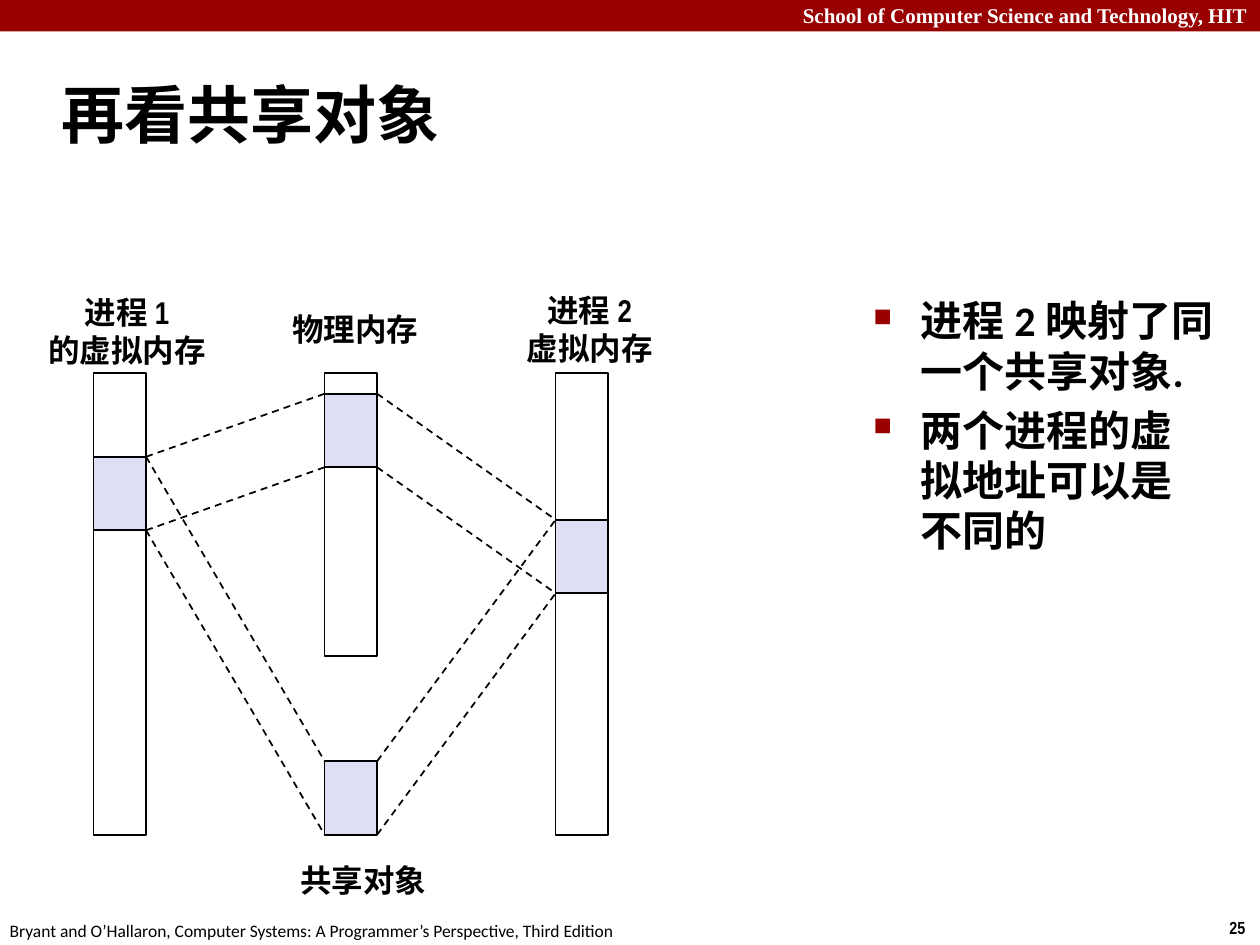
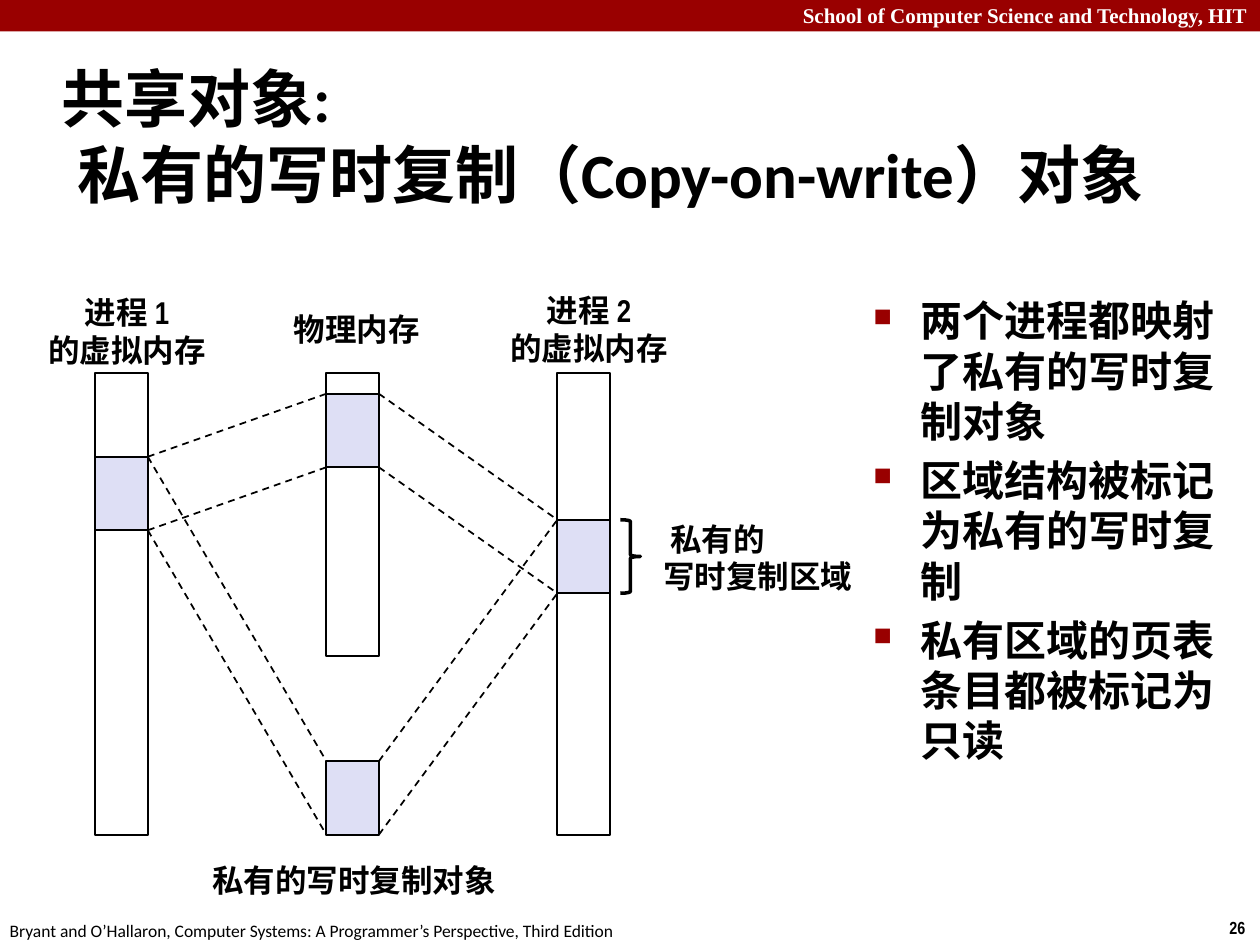
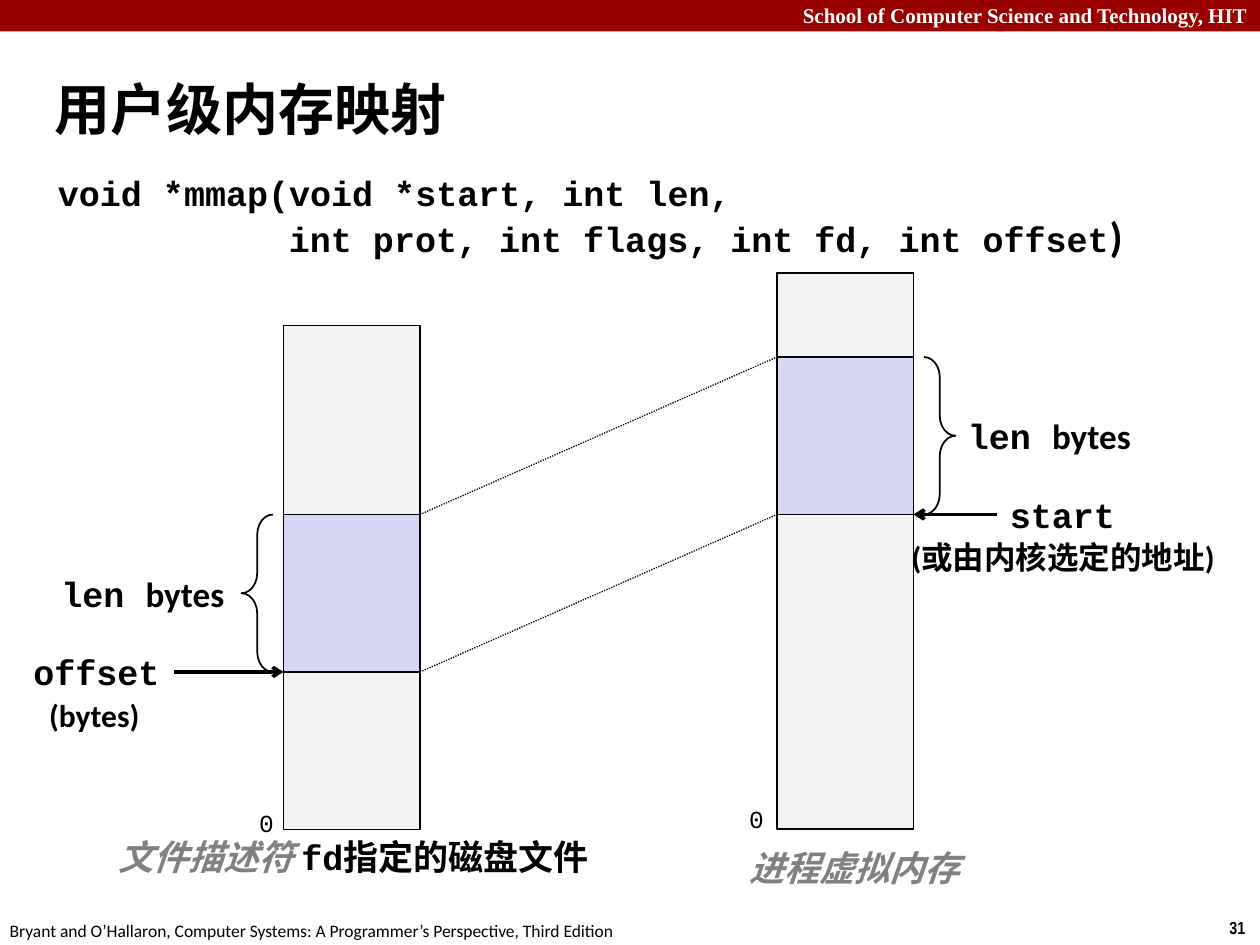
from dataclasses import dataclass, replace

import pptx
import pptx.dml.color
import pptx.enum.dml
import pptx.enum.shapes
import pptx.enum.text
import pptx.oxml
import pptx.oxml.ns
import pptx.util

Pt = pptx.util.Pt
Align = pptx.enum.text.PP_ALIGN
Anchor = pptx.enum.text.MSO_ANCHOR
Preset = pptx.enum.shapes.MSO_SHAPE
Dash = pptx.enum.dml.MSO_LINE


@dataclass(frozen=True)
class Style:
    font: str
    size: float
    color: str = "000000"
    bold: bool = True
    italic: bool = False


class Theme:
    band = "990000"
    ink = "000000"
    region = "DEDFF5"
    mapped = "D6D6F5"
    memory = "F2F2F2"
    title = Style("Calibri", 36)
    small_title = Style("Calibri", 32)
    body = Style("Calibri", 24)
    label = Style("Arial Narrow", 18)
    note = Style("Calibri", 18)
    unit = Style("Calibri", 20)
    code = Style("Courier New", 20)
    zero = Style("Courier New", 14, bold=False)
    caption = Style("Calibri", 20, "808080", italic=True)
    school = Style("Times New Roman", 12, "FFFFFF")
    number = Style("Arial Narrow", 10)
    source = Style("Calibri", 10, bold=False)


def rgb(color):
    return pptx.dml.color.RGBColor.from_string(color)


def add_element(parent, tag, **attributes):
    child = pptx.oxml.ns.qn(tag)
    element = parent.makeelement(child, attributes)
    parent.append(element)
    return element


def add_span(para, text, style):
    span = para.add_run()
    span.text = text
    span.font.name = style.font
    span.font.size = Pt(style.size)
    span.font.bold = style.bold
    span.font.italic = style.italic
    span.font.color.rgb = rgb(style.color)


def set_indent(para, left, first):
    properties = para._p.get_or_add_pPr()
    properties.set("marL", str(Pt(left)))
    properties.set("indent", str(Pt(first)))
    return properties


def add_box(page, area, paragraphs, align=Align.LEFT, anchor=Anchor.TOP, wrap=False):
    box = page.shapes.add_textbox(*map(Pt, area))
    frame = box.text_frame
    frame.word_wrap = wrap
    frame.vertical_anchor = anchor
    if not wrap:
        frame.auto_size = pptx.enum.text.MSO_AUTO_SIZE.SHAPE_TO_FIT_TEXT
    for index, spans in enumerate(paragraphs):
        para = frame.add_paragraph() if index else frame.paragraphs[0]
        para.alignment = align
        for text, style in spans:
            add_span(para, text, style)
    return frame


def add_label(page, area, *lines):
    add_box(page, area, [[(line, Theme.label)] for line in lines],
            Align.CENTER, Anchor.MIDDLE)


def add_title(page, area, lines, style=Theme.title):
    frame = add_box(page, area, [[(lines[0], style)]], anchor=Anchor.MIDDLE, wrap=True)
    para = frame.paragraphs[0]
    set_indent(para, 9, -9)
    for line in lines[1:]:
        para.add_line_break()
        add_span(para, line, style)


def add_bullets(page, area, items):
    frame = add_box(page, area, [[(item, Theme.body)] for item in items], wrap=True)
    for para in frame.paragraphs:
        para.space_before = Pt(4.8)
        properties = set_indent(para, 27, -27)
        color = add_element(properties, "a:buClr")
        add_element(color, "a:srgbClr", val=Theme.band)
        add_element(properties, "a:buSzPct", val="60000")
        add_element(properties, "a:buChar", char="■")


def add_outline(page, preset, area, fill=None, weight=1):
    shape = page.shapes.add_shape(preset, *map(Pt, area))
    shape.shadow.inherit = False
    if fill:
        shape.fill.solid()
        shape.fill.fore_color.rgb = rgb(fill)
    else:
        shape.fill.background()
    shape.line.color.rgb = rgb(Theme.ink)
    shape.line.width = Pt(weight)
    return shape


def add_line(page, start, end, weight=1, dash=None, arrow=False):
    line = page.shapes.add_connector(
        pptx.enum.shapes.MSO_CONNECTOR.STRAIGHT, *map(Pt, (*start, *end)))
    line.line.color.rgb = rgb(Theme.ink)
    line.line.width = Pt(weight)
    if dash:
        line.line.dash_style = dash
    if arrow:
        add_element(line.line._get_or_add_ln(), "a:tailEnd", type="arrow")
    add_element(line._element.spPr, "a:effectLst")


def add_page(deck, number):
    page = deck.slides.add_slide(deck.slide_layouts[6])
    band = add_outline(page, Preset.RECTANGLE, (0, 0, 720, 18), Theme.band)
    band.line.fill.background()
    add_box(page, (695.5, 520.5, 24.5, 19.5), [[(number, Theme.number)]])
    add_box(page, (0, -2, 720, 22),
            [[("School of Computer Science and Technology, HIT", Theme.school)]],
            Align.RIGHT, wrap=True)
    source = ("Bryant and O’Hallaron, Computer Systems: "
              "A Programmer’s Perspective, Third Edition")
    add_box(page, (-1.5, 522, 366, 19.5), [[(source, Theme.source)]])
    return page


def add_sharing_diagram(page, left):
    width, top, full, region = 30, 213, 264, 42
    first, middle, second = (left + 132 * column for column in range(3))
    for x, height in ((middle, 162), (first, full), (second, full)):
        add_outline(page, Preset.RECTANGLE, (x, top, width, height))

    shared = (middle, top + full - region)
    physical = (middle, 225)
    process_1 = (first, 261)
    process_2 = (second, 297)
    for x, y in (shared, physical, process_1, process_2):
        add_outline(page, Preset.RECTANGLE, (x, y, width, region), Theme.region)

    for nearer, farther in ((process_1, shared), (shared, process_2),
                            (process_1, physical), (physical, process_2)):
        for edge in (0, region):
            add_line(page, (nearer[0] + width, nearer[1] + edge),
                     (farther[0], farther[1] + edge), dash=Dash.DASH)

    add_label(page, (left + 105.5, 173.5, 88, 29), "物理内存")
    add_label(page, (19.5, 163.5, 106, 51), "进程 1", "的虚拟内存")


def build_shared_page(deck):
    page = add_page(deck, "25")
    add_title(page, (28, 34.5, 598, 60), ["再看共享对象"])
    add_sharing_diagram(page, 53.5)
    add_label(page, (293, 162.5, 88, 51), "进程 2", "虚拟内存")
    add_label(page, (163.5, 488, 88, 29), "共享对象")
    add_bullets(page, (492, 165, 209, 363), [
        "进程 2 映射了同一个共享对象. ",
        "两个进程的虚拟地址可以是不同的",
    ])


def build_private_page(deck):
    page = add_page(deck, "26")
    add_title(page, (28, 34.5, 656, 86),
              ["共享对象:", "私有的写时复制（Copy-on-write）对象"])
    add_bullets(page, (492, 165, 228, 330), [
        "两个进程都映射了私有的写时复制对象 ",
        "区域结构被标记为私有的写时复制",
        "私有区域的页表条目都被标记为只读",
    ])
    add_sharing_diagram(page, 54.5)
    add_label(page, (283.5, 162.5, 106, 51), "进程 2", "的虚拟内存")
    add_label(page, (112.5, 488, 183.5, 29), "私有的写时复制对象 ")
    add_box(page, (372, 293, 124.5, 51),
            [[(" 私有的", Theme.label)], [("写时复制区域", Theme.label)]],
            anchor=Anchor.MIDDLE)
    add_outline(page, Preset.RIGHT_BRACE, (354.5, 297, 11.5, 42), weight=2)


def add_signature(page):
    frame = add_box(page, (26, 96.5, 654.5, 65.5), [
        [("void *mmap(void *start, int len,", Theme.code)],
        [("int prot, int flags, int fd, int offset", Theme.code), (")", Theme.body)],
    ], wrap=True)
    for para, indent in zip(frame.paragraphs, (0, 132)):
        para.line_spacing = 0.94
        set_indent(para, indent, 0)


def build_mapping_page(deck):
    page = add_page(deck, "31")
    add_title(page, (24, 39, 684, 45), ["用户级内存映射"], Theme.small_title)
    add_signature(page)

    width, length = 78, 90
    file_x, file_y = 162, 294
    memory_x, memory_y = 444, 204
    for x, top, height, y in ((file_x, 186, 288, file_y),
                              (memory_x, 156, 318, memory_y)):
        add_outline(page, Preset.RECTANGLE, (x, top, width, height), Theme.memory)
        add_outline(page, Preset.RECTANGLE, (x, y, width, length), Theme.mapped)
    for edge in (0, length):
        add_line(page, (file_x + width, file_y + edge), (memory_x, memory_y + edge),
                 0.75, Dash.ROUND_DOT)

    for preset, x, y in ((Preset.RIGHT_BRACE, 528, memory_y),
                         (Preset.LEFT_BRACE, 138, file_y)):
        brace = add_outline(page, preset, (x, y, 18, length))
        brace.adjustments[0] = 0.64
    add_line(page, (570, 294), (memory_x + width, 294), 2, arrow=True)
    add_line(page, (99.5, 384), (file_x, 384), 2, arrow=True)

    for x, y in ((546, 233.5), (28, 323.5)):
        add_box(page, (x, y, 109, 31.5), [[("len ", Theme.code), ("bytes", Theme.unit)]])
    for x, y in ((141, 458), (421, 456)):
        add_box(page, (x, y, 23, 24.5), [[("0", Theme.zero)]])
    add_box(page, (570, 278.5, 75, 31.5), [[("start", Theme.code)]])
    add_box(page, (510, 304, 195, 29), [[("(或由内核选定的地址)", Theme.note)]], Align.CENTER)
    add_box(page, (12, 368, 87, 31.5), [[("offset", Theme.code)]])
    add_box(page, (21, 394, 66, 29), [[("(bytes)", Theme.note)]])
    add_box(page, (421, 480, 137, 31.5), [[("进程虚拟内存", Theme.caption)]])
    add_box(page, (54.5, 474, 295, 31.5),
            [[("文件描述符 ", Theme.caption),
              ("fd指定的磁盘文件", replace(Theme.code, italic=False))]], Align.CENTER)


def main():
    deck = pptx.Presentation()
    deck.slide_width = Pt(720)
    deck.slide_height = Pt(540)
    build_shared_page(deck)
    build_private_page(deck)
    build_mapping_page(deck)
    deck.save("out.pptx")


main()
